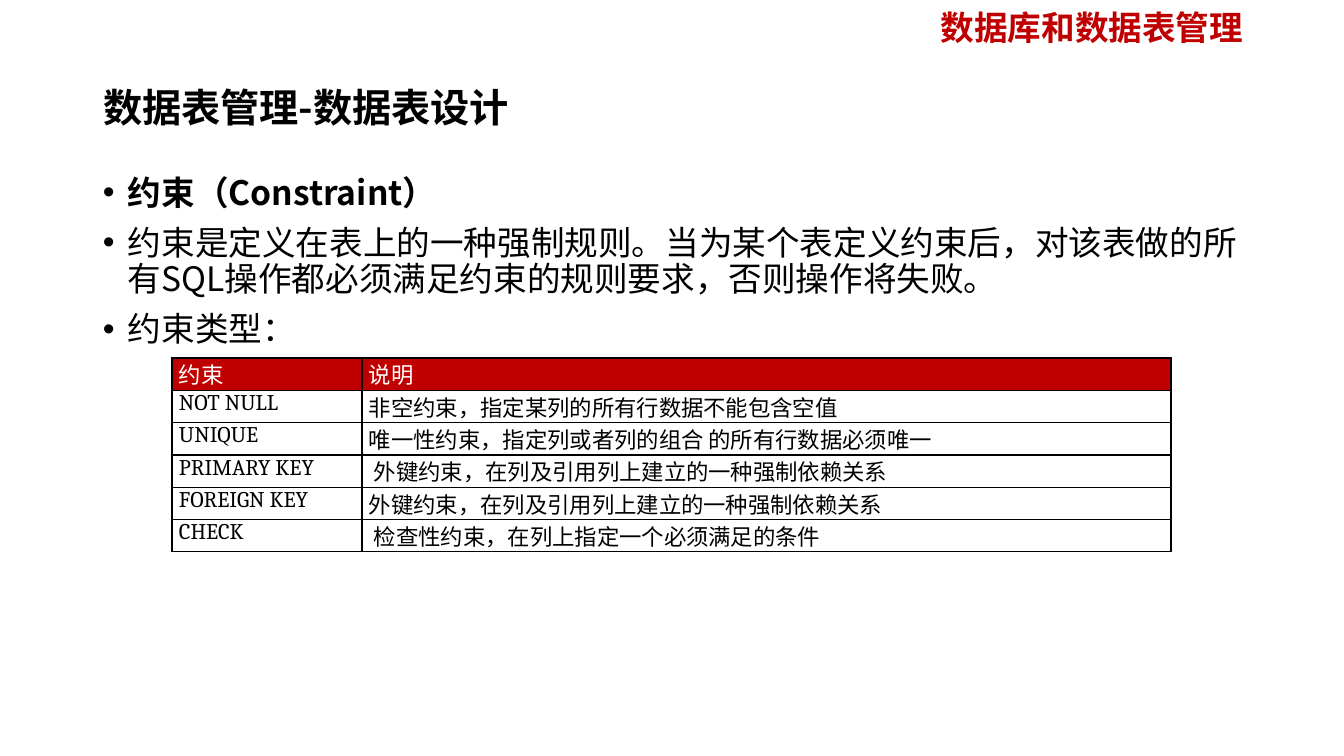
import lxml.etree
import pptx
import pptx.dml.color
import pptx.enum.text
import pptx.oxml.ns
import pptx.util

ALIGN = pptx.enum.text.PP_ALIGN
ANCHOR = pptx.enum.text.MSO_ANCHOR
SANS, SERIF = "Noto Sans CJK SC", "Cambria"
BLACK, WHITE, RED = "000000", "FFFFFF", "C00000"

BODY = [
    ("约束（Constraint）", True),
    ("约束是定义在表上的一种强制规则。当为某个表定义约束后，对该表做的所有SQL操作都必须满足约束的规则要求，否则操作将失败。", False),
    ("约束类型：", False),
]
CONSTRAINTS = [
    ("约束", "说明"),
    ("NOT NULL", "非空约束，指定某列的所有行数据不能包含空值"),
    ("UNIQUE", "唯一性约束，指定列或者列的组合 的所有行数据必须唯一"),
    ("PRIMARY KEY", " 外键约束，在列及引用列上建立的一种强制依赖关系"),
    ("FOREIGN KEY", "外键约束，在列及引用列上建立的一种强制依赖关系"),
    ("CHECK", " 检查性约束，在列上指定一个必须满足的条件"),
]


def px(length):
    """Turn pixels into EMU."""
    return pptx.util.Emu(round(length * 914400 / 100.8))


def colour(value):
    """Turn a hex string into a colour."""
    return pptx.dml.color.RGBColor.from_string(value)


def child(parent, tag, **attributes):
    """Append a drawing element with its attributes."""
    return lxml.etree.SubElement(parent, pptx.oxml.ns.qn(tag), attributes)


def write(para, text, size=24, font=SANS, ink=BLACK, bold=False, align=ALIGN.LEFT,
          line=0.9, before=10, after=0, bullet=False):
    """Fill a paragraph with one formatted span."""
    para.alignment, para.line_spacing = align, line
    para.space_before, para.space_after = pptx.util.Pt(before), pptx.util.Pt(after)
    if bullet:
        properties = para._p.get_or_add_pPr()
        properties.set("marL", str(px(25)))
        properties.set("indent", str(-px(25)))
        child(properties, "a:buFont", typeface="Arial")
        child(properties, "a:buChar", char="•")
    span = para.add_run()
    span.text = text
    span.font.size, span.font.bold, span.font.name = pptx.util.Pt(size), bold, font
    span.font.color.rgb = colour(ink)
    child(span.font._element, "a:ea", typeface=SANS)


class Page:
    """Hold the current slide and its table style."""

    def __init__(self, deck):
        """Add a title-only slide."""
        self.slide = deck.slides.add_slide(deck.slide_layouts[5])
        self.margin = 7
        self.row_height = 32

    def frame(self, box, anchor):
        """Prepare the text frame of a box."""
        frame = box.text_frame
        frame.word_wrap, frame.vertical_anchor = True, anchor
        frame.auto_size = pptx.enum.text.MSO_AUTO_SIZE.NONE
        return frame

    def title(self, text, left, top, width, height):
        """Move and fill the title placeholder."""
        box = self.slide.shapes.title
        box.left, box.top, box.width, box.height = map(px, (left, top, width, height))
        frame = self.frame(box, ANCHOR.MIDDLE)
        write(frame.paragraphs[0], text, size=28, bold=True, before=0)

    def text(self, entries, left, top, width, height, anchor=ANCHOR.TOP, **style):
        """Add a text box with one paragraph per entry."""
        box = self.slide.shapes.add_textbox(*map(px, (left, top, width, height)))
        frame = self.frame(box, anchor)
        for index, (text, bold) in enumerate(entries):
            para = frame.add_paragraph() if index else frame.paragraphs[0]
            write(para, text, bold=bold, **style)

    def borders(self, cell):
        """Draw thin black lines around a cell."""
        properties = cell._tc.get_or_add_tcPr()
        for index, side in enumerate(("a:lnL", "a:lnR", "a:lnT", "a:lnB")):
            edge = child(properties, side, w=str(pptx.util.Pt(1)))
            child(child(edge, "a:solidFill"), "a:srgbClr", val=BLACK)
            properties.insert(index, edge)

    def table(self, rows, left, top, widths):
        """Add a table with a red header row."""
        height = self.row_height * len(rows)
        box = self.slide.shapes.add_table(
            len(rows), len(widths), *map(px, (left, top, sum(widths), height)))
        table = box.table
        table.first_row = table.horz_banding = False
        for column, width in zip(table.columns, widths):
            column.width = px(width)
        for row, texts in enumerate(rows):
            table.rows[row].height = px(self.row_height)
            for column, text in enumerate(texts):
                self.cell(table.cell(row, column), text, row == 0, column == 0)

    def cell(self, cell, text, header, name):
        """Fill and format one table cell."""
        cell.margin_left = cell.margin_right = px(self.margin)
        cell.margin_top = cell.margin_bottom = 0
        cell.vertical_anchor = ANCHOR.BOTTOM if header else ANCHOR.TOP
        if header:
            cell.fill.solid()
            cell.fill.fore_color.rgb = colour(RED)
        else:
            cell.fill.background()
        self.borders(cell)
        write(cell.text_frame.paragraphs[0], text, size=16,
              font=SERIF if name and not header else SANS,
              ink=WHITE if header else BLACK, line=1.0, before=1.8, after=1.8)


def main():
    """Build and save the deck."""
    deck = pptx.Presentation()
    deck.slide_width, deck.slide_height = px(1344), px(756)
    page = Page(deck)
    page.text(BODY, 93, 171, 1159, 510, bullet=True)
    page.title("数据表管理-数据表设计", 93, 59, 1159, 102)
    page.text([("数据库和数据表管理", True)], 920, 0, 333, 59,
              anchor=ANCHOR.MIDDLE, ink=RED, align=ALIGN.RIGHT)
    page.table(CONSTRAINTS, 172, 358, (190, 809))
    deck.save("out.pptx")


if __name__ == "__main__":
    main()
